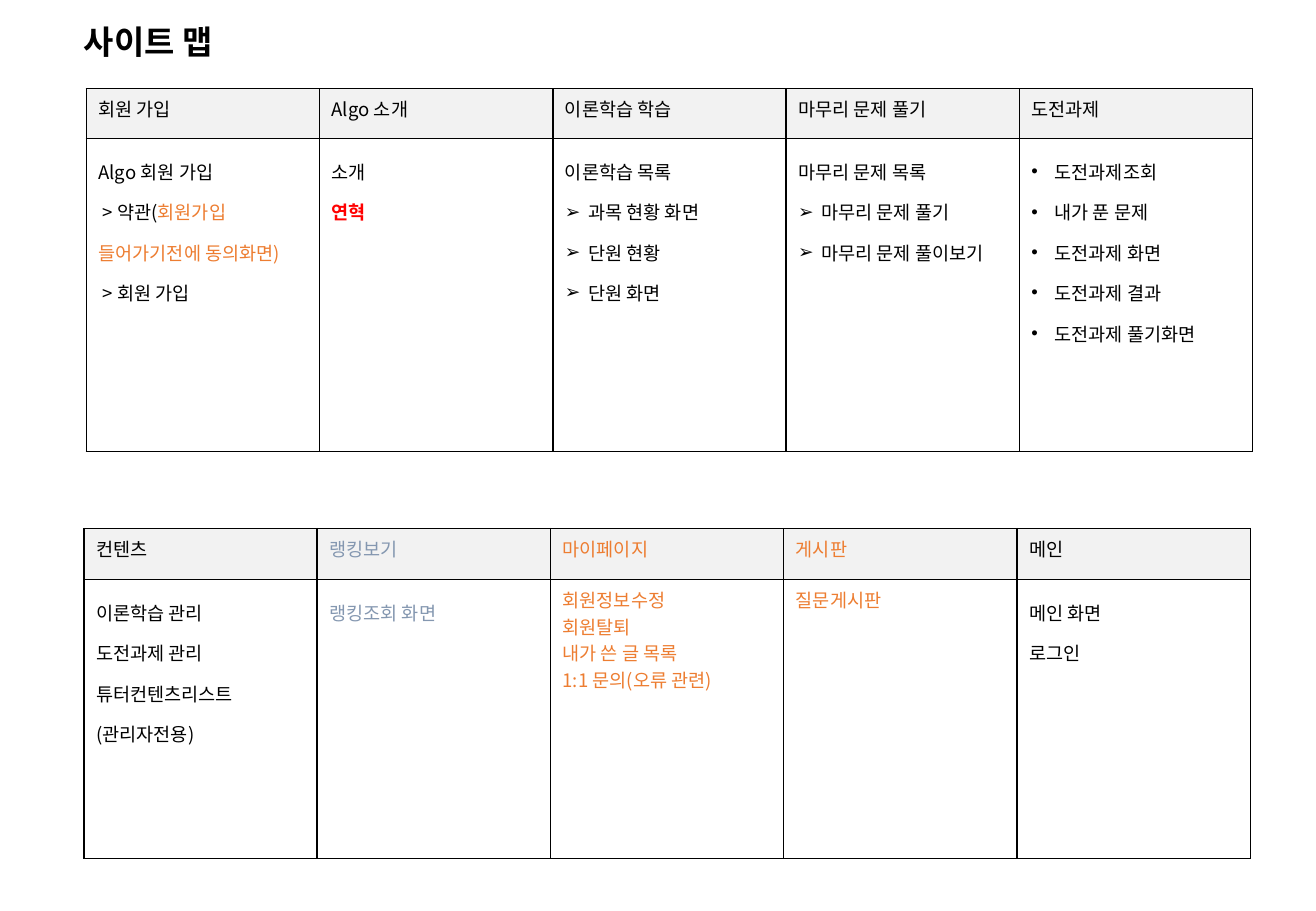
from dataclasses import dataclass

from lxml.etree import SubElement
from pptx import Presentation
from pptx.dml.color import RGBColor
from pptx.enum.text import MSO_ANCHOR as ANCHOR, MSO_AUTO_SIZE as AUTO_SIZE, PP_ALIGN as ALIGN
from pptx.oxml.ns import qn
from pptx.util import Inches, Pt

SANS = "Noto Sans CJK KR"
BLACK, ORANGE, SLATE, RED = "000000", "ED7D31", "8497B0", "FF0000"
HEADER_FILL, BODY_FILL = "F2F2F2", "FFFFFF"
COLUMN_WIDTH = 1.92
BORDERS = {"a:lnL": 1, "a:lnR": 1, "a:lnT": 0.75, "a:lnB": 0.75}


@dataclass
class Line:
    text: str
    color: str = BLACK
    bold: bool = False
    bullet: str = ""
    tail: str = ""
    tail_color: str = ORANGE


@dataclass
class Menu:
    name: str
    lines: list[Line]
    color: str = BLACK
    spacing: float = 1.5


@dataclass
class SiteTable:
    left: float
    top: float
    header_height: float
    body_height: float
    menus: list[Menu]


def rgb(color: str) -> RGBColor:
    return RGBColor.from_string(color)


def lines(*texts: str, color: str = BLACK, bullet: str = "") -> list[Line]:
    return [Line(text, color, bullet=bullet) for text in texts]


def format_run(r, size: float, color: str, bold: bool, font: str = SANS) -> None:
    r.font.size = Pt(size)
    r.font.bold = bold
    r.font.color.rgb = rgb(color)
    r.font.name = font
    SubElement(r.font._element, qn("a:ea")).set("typeface", SANS)


def add_bullet(p, char: str) -> None:
    pPr = p._p.get_or_add_pPr()
    pPr.set("marL", str(Inches(0.19)))
    pPr.set("indent", str(-Inches(0.19)))
    clr = SubElement(pPr, qn("a:buClr"))
    SubElement(clr, qn("a:srgbClr")).set("val", BLACK)
    SubElement(pPr, qn("a:buFont")).set("typeface", "Arial")
    SubElement(pPr, qn("a:buChar")).set("char", char)


def add_borders(cell) -> None:
    tcPr = cell._tc.get_or_add_tcPr()
    for tag, width in BORDERS.items():
        ln = SubElement(tcPr, qn(tag), w=str(Pt(width)))
        fill = SubElement(ln, qn("a:solidFill"))
        SubElement(fill, qn("a:srgbClr")).set("val", BLACK)


def fill_cell(cell, content: list[Line], fill: str, spacing: float) -> None:
    add_borders(cell)
    cell.fill.solid()
    cell.fill.fore_color.rgb = rgb(fill)
    tf = cell.text_frame
    tf.text = "\n".join(line.text for line in content)
    for p, line in zip(tf.paragraphs, content):
        if line.bullet:
            add_bullet(p, line.bullet)
        p.line_spacing = spacing
        format_run(p.runs[0], 11, line.color, line.bold)
        if line.tail:
            r = p.add_run()
            r.text = line.tail
            format_run(r, 11, line.tail_color, line.bold)


def add_site_table(slide, site: SiteTable) -> None:
    count = len(site.menus)
    table = slide.shapes.add_table(
        2, count, Inches(site.left), Inches(site.top), Inches(COLUMN_WIDTH * count),
        Inches(site.header_height + site.body_height)).table
    table.first_row = False
    table.horz_banding = False
    table.rows[0].height = Inches(site.header_height)
    table.rows[1].height = Inches(site.body_height)
    for i, menu in enumerate(site.menus):
        table.columns[i].width = Inches(COLUMN_WIDTH)
        fill_cell(table.cell(0, i), [Line(menu.name, menu.color)], HEADER_FILL, 1)
        fill_cell(table.cell(1, i), menu.lines, BODY_FILL, menu.spacing)


def add_title(slide, text: str) -> None:
    sp = slide.shapes.title
    sp.left, sp.top, sp.width, sp.height = Inches(0.69), Inches(0), Inches(6.54), Inches(0.68)
    tf = sp.text_frame
    tf.text = text
    tf.auto_size = AUTO_SIZE.NONE
    tf.word_wrap = True
    tf.vertical_anchor = ANCHOR.MIDDLE
    tf.margin_left = tf.margin_top = tf.margin_right = tf.margin_bottom = 0
    p = tf.paragraphs[0]
    p.alignment = ALIGN.LEFT
    format_run(p.runs[0], 19.5, BLACK, True, "Arial")


LEARNER_MENUS = [
    Menu("회원 가입", [
        Line("Algo 회원 가입"),
        Line(" > 약관(", tail="회원가입 들어가기전에 동의화면)"),
        Line(" > 회원 가입"),
    ]),
    Menu("Algo 소개", [Line("소개"), Line("연혁", RED, bold=True)]),
    Menu("이론학습 학습", [
        Line("이론학습 목록"),
        *lines("과목 현황 화면", "단원 현황", "단원 화면", bullet="➢"),
    ]),
    Menu("마무리 문제 풀기", [
        Line("마무리 문제 목록"),
        *lines("마무리 문제 풀기", "마무리 문제 풀이보기", bullet="➢"),
    ]),
    Menu("도전과제", lines("도전과제조회", "내가 푼 문제", "도전과제 화면", "도전과제 결과",
                       "도전과제 풀기화면", bullet="•")),
]
SERVICE_MENUS = [
    Menu("컨텐츠", lines("이론학습 관리", "도전과제 관리", "튜터컨텐츠리스트", "(관리자전용)")),
    Menu("랭킹보기", lines("랭킹조회 화면", color=SLATE), SLATE),
    Menu("마이페이지", lines("회원정보수정", "회원탈퇴", "내가 쓴 글 목록", "1:1 문의(오류 관련)",
                        color=ORANGE), ORANGE, 1),
    Menu("게시판", lines("질문게시판", color=ORANGE), ORANGE, 1),
    Menu("메인", lines("메인 화면", "로그인")),
]
SITE_TABLES = [
    SiteTable(0.71, 0.73, 0.41, 2.58, LEARNER_MENUS),
    SiteTable(0.69, 4.35, 0.42, 2.3, SERVICE_MENUS),
]


def main() -> None:
    prs = Presentation()
    prs.slide_width, prs.slide_height = Inches(10.83), Inches(7.5)
    slide = prs.slides.add_slide(prs.slide_layouts[5])
    add_title(slide, "사이트 맵")
    for site in SITE_TABLES:
        add_site_table(slide, site)
    prs.save("out.pptx")


if __name__ == "__main__":
    main()
